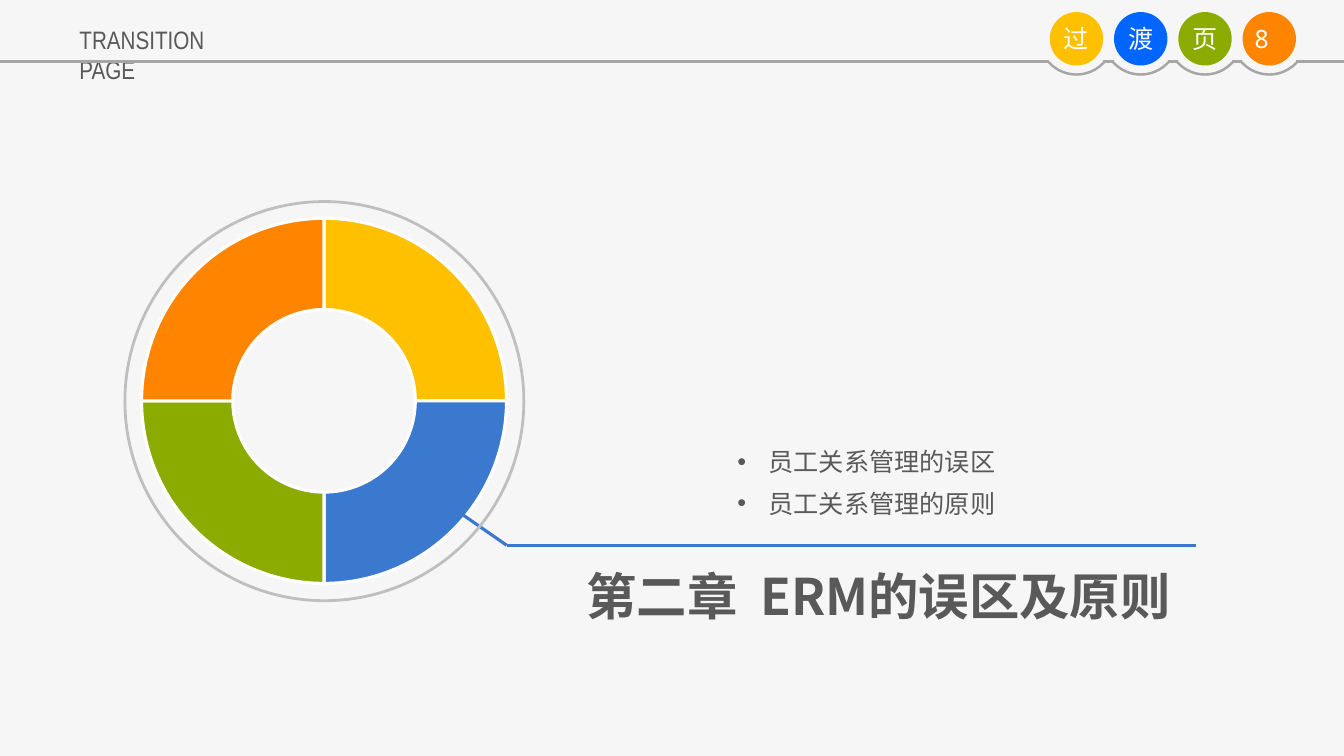
from collections import namedtuple

from lxml import etree
from pptx import Presentation
from pptx import util as u
from pptx.chart.data import CategoryChartData
from pptx.dml.color import RGBColor
from pptx.enum import chart as charts, shapes, text
from pptx.oxml import parse_xml
from pptx.oxml.ns import nsdecls, qn

Box = namedtuple("Box", "left top width height")
CELL = u.Inches(0.1)
COLUMNS, ROWS = 133.4, 75

YELLOW, BLUE, GREEN, ORANGE = "FFC000", "3B79CE", "8BAB00", "FF8500"
BRIGHT_BLUE, WHITE, PAPER = "0066FF", "FFFFFF", "F6F6F6"
TEXT_GREY, RULE_GREY, RING_GREY = "595959", "A6A6A6", "BFBFBF"
CHINESE_FONT = "Noto Sans CJK SC"


def color(value):
    return RGBColor.from_string(value)


def cells(*counts):
    return [round(count * CELL) for count in counts]


def add_line(slide, start, end, line_color, weight):
    line = slide.shapes.add_connector(shapes.MSO_CONNECTOR.STRAIGHT, *cells(*start, *end))
    line.line.color.rgb = color(line_color)
    line.line.width = u.Pt(weight)
    etree.SubElement(line._element.spPr, qn("a:effectLst"))


def add_preset(slide, kind, box, fill=None, outline=None, weight=1.77):
    shape = slide.shapes.add_shape(kind, *cells(*box))
    shape.shadow.inherit = False
    if fill:
        shape.fill.solid()
        shape.fill.fore_color.rgb = color(fill)
    else:
        shape.fill.background()
    if outline:
        shape.line.color.rgb = color(outline)
        shape.line.width = u.Pt(weight)
    else:
        shape.line.fill.background()
    return shape


def style(paragraph, size, font_color, name=CHINESE_FONT, bold=False):
    font = paragraph.font
    font.size, font.name, font.bold = u.Pt(size), name, bold
    font.color.rgb = color(font_color)
    latin = font._element.find(qn("a:latin"))
    east_asian = etree.Element(qn("a:ea"), typeface=name)
    latin.addnext(east_asian)


def add_text_box(slide, box, wrap=True):
    frame = slide.shapes.add_textbox(*cells(*box)).text_frame
    frame.word_wrap = wrap
    return frame


def draw_header(slide, box):
    title = add_text_box(slide, Box(box.left + 6.9, box.top + 1.9, 19.6, 4), False).paragraphs[0]
    title.text = "TRANSITION\vPAGE"
    style(title, 18, TEXT_GREY, "Arial Narrow")

    badges = [("过", YELLOW), ("渡", BRIGHT_BLUE), ("页", GREEN), ("8", ORANGE)]
    pitch, badge, arc_size, half_gap = 6.38, 5.3, 7.4, 2.68
    first_center, middle, rule = box.left + 106.85, box.top + 3.85, box.top + 6.1
    rule_start = box.left
    for index, (label, fill) in enumerate(badges):
        center = first_center + index * pitch
        add_line(slide, (rule_start, rule), (center - half_gap, rule), RULE_GREY, 1.77)
        rule_start = center + half_gap

        arc = add_preset(slide, shapes.MSO_SHAPE.ARC,
                         Box(center - arc_size / 2, box.top, arc_size, arc_size),
                         outline=RULE_GREY)
        arc.adjustments[0], arc.adjustments[1] = 42 * 0.6, 138 * 0.6

        circle = add_preset(slide, shapes.MSO_SHAPE.OVAL,
                            Box(center - badge / 2, middle - badge / 2, badge, badge), fill)
        frame = circle.text_frame
        frame.word_wrap = False
        frame.vertical_anchor = text.MSO_ANCHOR.MIDDLE
        frame.margin_left = frame.margin_top = frame.margin_bottom = 0
        frame.margin_right = u.Inches(0.15 if label == "8" else 0)
        paragraph = frame.paragraphs[0]
        paragraph.text = label
        paragraph.alignment = text.PP_ALIGN.CENTER
        style(paragraph, 18, WHITE, "Noto Sans Mono" if label == "8" else CHINESE_FONT)
    add_line(slide, (rule_start, rule), (box.left + box.width, rule), RULE_GREY, 1.77)


def draw_doughnut(slide, box):
    data = CategoryChartData()
    data.categories = ["1", "2", "3", "4"]
    data.add_series("Series 1", [25] * 4)
    chart = slide.shapes.add_chart(charts.XL_CHART_TYPE.DOUGHNUT, *cells(*box), data).chart
    chart.has_legend = chart.has_title = False
    chart.font.size, chart.font.name = u.Pt(10), "Calibri"
    chart.font.color.rgb = color("000000")
    plot = chart.plots[0]
    plot.vary_by_categories = True
    plot._element.find(qn("c:holeSize")).set("val", "63")
    for index, fill in enumerate([YELLOW, BLUE, GREEN, ORANGE]):
        format = plot.series[0].points[index].format
        format.fill.solid()
        format.fill.fore_color.rgb = color(fill)
        format.line.color.rgb = color(WHITE)
        format.line.width = u.Pt(2.25)

    area = chart._chartSpace.find(".//" + qn("c:plotArea"))
    for layout in area.findall(qn("c:layout")):
        area.remove(layout)
    shares = {"x": 0.205, "y": 0.004, "w": 0.668, "h": 0.922}
    values = "".join(f'<c:{side} val="{share}"/>' for side, share in shares.items())
    area.insert(0, parse_xml(
        f'<c:layout {nsdecls("c")}><c:manualLayout><c:layoutTarget val="inner"/>'
        f'<c:xMode val="edge"/><c:yMode val="edge"/>{values}</c:manualLayout></c:layout>'))


def draw_chapter(slide, box):
    rule = box.top + 10.3
    corner = (box.left, rule)
    add_line(slide, corner, (box.left - 4.9, rule - 3.4), BLUE, 2.25)
    add_line(slide, corner, (box.left + box.width, rule), BLUE, 2.25)

    topics = add_text_box(slide, Box(box.left + 21.9, box.top, 39.4, 8.7))
    for index, topic in enumerate(["员工关系管理的误区", "员工关系管理的原则"]):
        paragraph = topics.add_paragraph() if index else topics.paragraphs[0]
        paragraph.text = topic
        if index:
            paragraph.space_before = u.Pt(8)
        properties = paragraph._p.get_or_add_pPr()
        properties.set("marL", str(u.Inches(0.31)))
        properties.set("indent", str(-u.Inches(0.31)))
        etree.SubElement(properties, qn("a:buFont"), typeface="Arial")
        etree.SubElement(properties, qn("a:buChar"), char="•")
        style(paragraph, 18, TEXT_GREY)

    heading = add_text_box(slide, Box(box.left + 5.4, rule + 1.5, 63, 7.1)).paragraphs[0]
    heading.alignment = text.PP_ALIGN.CENTER
    for part in ["第二章", " ", "ERM的误区及原则"]:
        run = heading.add_run()
        run.text = part
        if part == " ":
            run._r.get_or_add_rPr().set("spc", "800")
    style(heading, 36, TEXT_GREY, bold=True)


def main():
    presentation = Presentation()
    presentation.slide_width, presentation.slide_height = cells(COLUMNS, ROWS)
    slide = presentation.slides.add_slide(presentation.slide_layouts[6])
    slide.background.fill.solid()
    slide.background.fill.fore_color.rgb = color(PAPER)
    draw_header(slide, Box(0, 0, COLUMNS, 7.5))
    draw_doughnut(slide, Box(2.9, 21.5, 54.3, 39.3))
    draw_chapter(slide, Box(50.3, 43.8, 68.4, 18.9))
    add_preset(slide, shapes.MSO_SHAPE.OVAL, Box(12.4, 20, 39.6, 39.6),
               outline=RING_GREY, weight=2)
    presentation.save("out.pptx")


if __name__ == "__main__":
    main()
